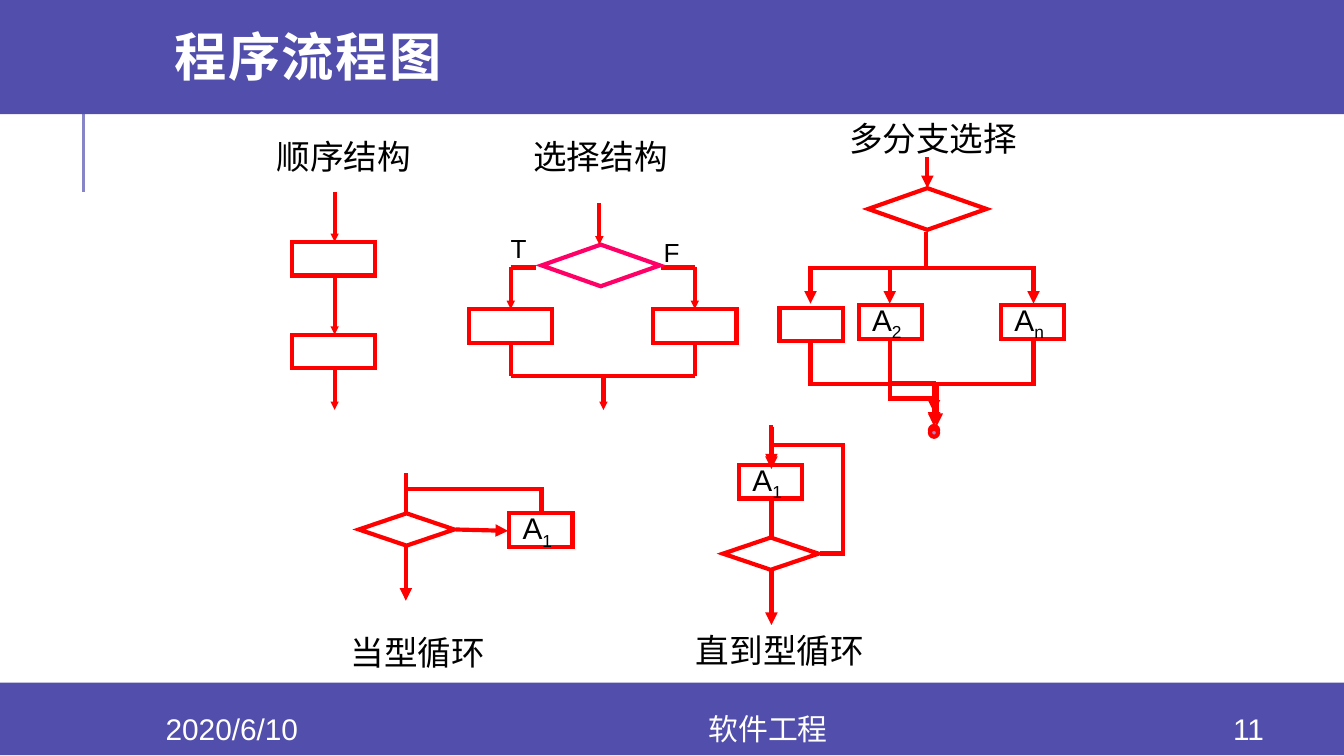
from lxml.etree import SubElement
from pptx import Presentation
from pptx.dml.color import RGBColor
from pptx.enum.shapes import MSO_CONNECTOR, MSO_SHAPE
from pptx.enum.text import MSO_ANCHOR, MSO_AUTO_SIZE, PP_ALIGN
from pptx.oxml.ns import qn
from pptx.util import Emu, Pt

PX = 9144
RED = RGBColor(0xFF, 0x00, 0x00)
PINK = RGBColor(0xFF, 0x00, 0x66)
INDIGO = RGBColor(0x52, 0x4E, 0xAB)
LILAC = RGBColor(0x87, 0x84, 0xC7)
MAUVE = RGBColor(0xAD, 0x84, 0xC6)
BLACK = RGBColor(0x00, 0x00, 0x00)
WHITE = RGBColor(0xFF, 0xFF, 0xFF)
BOX = (47, 25)
WIDE_BOX = (62, 25)
DIAMOND = (88, 31)
SMALL_DIAMOND = (71, 24)
SMALL, MEDIUM = "sm", "med"


def px(*lengths):
    """Turn px lengths into EMU."""
    return [Emu(round(length * PX)) for length in lengths]


def style_font(font, size, color, name="Arial"):
    """Set the size, colour and typeface of a font."""
    font.size, font.name = Pt(size), name
    font.color.rgb = color


def style_line(shape, color, width=2.25):
    """Give a shape or connector a line with sharp corners."""
    shape.line.color.rgb = color
    shape.line.width = Pt(width)
    outline = shape._element.spPr.find(qn("a:ln"))
    SubElement(outline, qn("a:miter"), lim="800000")
    return outline


def add_node(slide, kind, left, top, size, line=RED, fill=None):
    """Add a preset shape with an optional outline and fill."""
    shape = slide.shapes.add_shape(kind, *px(left, top, *size))
    shape.shadow.inherit = False
    if fill is None:
        shape.fill.background()
    else:
        shape.fill.solid()
        shape.fill.fore_color.rgb = fill
    if line is None:
        shape.line.fill.background()
    else:
        style_line(shape, line)
    return shape


def add_step(slide, left, top, subscript):
    """Add a box that holds the letter A with a subscript."""
    frame = add_node(slide, MSO_SHAPE.RECTANGLE, left, top, BOX).text_frame
    frame.word_wrap = False
    frame.vertical_anchor = MSO_ANCHOR.MIDDLE
    paragraph = frame.paragraphs[0]
    paragraph.alignment = PP_ALIGN.LEFT
    style_font(paragraph.font, 16, BLACK)
    paragraph.add_run().text = "A"
    index = paragraph.add_run()
    index.text = subscript
    index.font._element.set("baseline", "-25000")


def add_text(slide, text, box, size, color=BLACK, name="Arial"):
    """Add a one-line text box and return its frame."""
    frame = slide.shapes.add_textbox(*px(*box)).text_frame
    frame.text = text
    style_font(frame.paragraphs[0].font, size, color, name)
    return frame


def add_label(slide, text, box, size=18):
    """Add a caption that fits its text."""
    frame = add_text(slide, text, box, size)
    frame.word_wrap = False
    frame.auto_size = MSO_AUTO_SIZE.SHAPE_TO_FIT_TEXT


def add_footer(slide, text, left, width):
    """Add a centred text in the bottom bar."""
    frame = add_text(slide, text, (left, 531, width, 23), 16, WHITE)
    frame.word_wrap = True
    frame.vertical_anchor = MSO_ANCHOR.MIDDLE
    frame.paragraphs[0].alignment = PP_ALIGN.CENTER


def add_title(slide, text):
    """Add the bold slide title."""
    frame = add_text(slide, text, (120, 0, 849, 91), 28, WHITE, "Montserrat")
    frame.word_wrap = True
    frame.vertical_anchor = MSO_ANCHOR.MIDDLE
    paragraph = frame.paragraphs[0]
    paragraph.line_spacing = 0.8
    paragraph.font.bold = True
    paragraph.runs[0].font._element.set("spc", "80")


def add_line(slide, start, end, arrow=None, color=RED, width=2.25, kind=MSO_CONNECTOR.STRAIGHT):
    """Add a connector with an optional arrowhead at its end."""
    connector = slide.shapes.add_connector(kind, *px(*start, *end))
    outline = style_line(connector, color, width)
    if arrow:
        SubElement(outline, qn("a:tailEnd"), type="triangle", w=arrow, len=arrow)
    SubElement(connector._element.spPr, qn("a:effectLst"))
    return connector


def set_bends(connector, preset, **adjustments):
    """Choose the elbow preset and place its bends."""
    geometry = connector._element.spPr.find(qn("a:prstGeom"))
    geometry.set("prst", preset)
    guides = geometry.find(qn("a:avLst"))
    for name, value in adjustments.items():
        SubElement(guides, qn("a:gd"), name=name, fmla=f"val {round(value * 100000)}")


def add_vertical_elbow(slide, start, end, arrow=MEDIUM, bend=0.5):
    """Add an elbow that leaves and arrives vertically."""
    run, rise = end[0] - start[0], end[1] - start[1]
    middle_x, middle_y = (start[0] + end[0]) / 2, (start[1] + end[1]) / 2
    half_width, half_height = abs(rise) / 2, abs(run) / 2
    connector = add_line(slide, (middle_x - half_width, middle_y - half_height),
                         (middle_x + half_width, middle_y + half_height),
                         arrow, kind=MSO_CONNECTOR.ELBOW)
    transform = connector._element.spPr.find(qn("a:xfrm"))
    transform.set("rot", str((90 if run < 0 else 270) * 60000))
    if (run < 0) == (rise < 0):
        transform.set("flipH", "1")
    set_bends(connector, "bentConnector3", adj1=bend)


def draw_frame(slide):
    """Draw the bars, the title and the footer."""
    add_line(slide, (62, 143), (62, 68), color=LILAC, width=1.5)
    for top, height in ((508, 54), (-3, 88)):
        add_node(slide, MSO_SHAPE.RECTANGLE, 0, top, (1000, height), None, INDIGO)
    add_title(slide, "程序流程图")
    for text, left, width in (("11", 889, 80), ("2020/6/10", 84, 177), ("软件工程", 261, 621)):
        add_footer(slide, text, left, width)


def draw_sequence(slide):
    """Draw two steps in a row."""
    for top in (180, 249):
        add_node(slide, MSO_SHAPE.RECTANGLE, 217, top, WIDE_BOX)
    for top, bottom in ((143, 180), (205, 249), (274, 305)):
        add_line(slide, (249, top), (249, bottom), SMALL)
    add_label(slide, "顺序结构", (196, 96, 121, 40))


def draw_selection(slide):
    """Draw the two-way branch."""
    for x, inner in ((380, 399), (517, 492)):
        add_node(slide, MSO_SHAPE.RECTANGLE, x - 31, 230, WIDE_BOX)
        add_line(slide, (x, 199), (inner, 199))
        add_line(slide, (x, 199), (x, 230), SMALL)
        add_line(slide, (x, 255), (x, 280))
    add_node(slide, MSO_SHAPE.DIAMOND, 403, 182, DIAMOND, PINK)
    add_line(slide, (446, 151), (446, 182), SMALL)
    add_line(slide, (380, 280), (517, 280))
    add_line(slide, (449, 280), (449, 305), SMALL)
    add_label(slide, "T", (370, 168, 32, 34), 14)
    add_label(slide, "F", (484, 171, 31, 34), 14)
    add_label(slide, "选择结构", (387, 96, 121, 40))


def draw_multiple_selection(slide):
    """Draw the branch with many cases."""
    add_label(slide, "多分支选择", (622, 83, 146, 40))
    add_line(slide, (690, 117), (690, 140), MEDIUM)
    add_node(slide, MSO_SHAPE.DIAMOND, 646, 140, DIAMOND)
    add_node(slide, MSO_SHAPE.RECTANGLE, 580, 229, BOX)
    add_step(slide, 639, 227, "2")
    add_step(slide, 745, 227, "n")
    for top in (317, 319):
        add_node(slide, MSO_SHAPE.OVAL, 692, top, (6, 6), fill=MAUVE)
    for x in (662, 603, 769):
        add_vertical_elbow(slide, (689, 173), (x, 226))
    for start, end in (((662, 254), (695, 316)), ((769, 254), (697, 317)),
                       ((603, 255), (695, 317)), ((662, 286), (695, 307))):
        add_vertical_elbow(slide, start, end)


def draw_while_loop(slide):
    """Draw the loop that tests first."""
    add_node(slide, MSO_SHAPE.DIAMOND, 267, 382, SMALL_DIAMOND)
    add_step(slide, 379, 382, "1")
    add_line(slide, (302, 353), (302, 382))
    add_line(slide, (339, 394), (378, 395), MEDIUM)
    add_line(slide, (302, 407), (302, 447), MEDIUM)
    add_vertical_elbow(slide, (403, 381), (302, 352), None, 0.6)
    add_label(slide, "当型循环", (251, 465, 121, 40))


def draw_until_loop(slide):
    """Draw the loop that tests last."""
    add_node(slide, MSO_SHAPE.DIAMOND, 538, 400, SMALL_DIAMOND)
    add_step(slide, 550, 346, "1")
    for top, bottom, arrow in ((371, 400, None), (425, 465, MEDIUM),
                               (318, 347, MEDIUM), (318, 349, MEDIUM)):
        add_line(slide, (574, top), (574, bottom), arrow)
    back = add_line(slide, (610, 412), (574, 316), kind=MSO_CONNECTOR.ELBOW)
    set_bends(back, "bentConnector4", adj1=-0.48, adj2=0.84)
    add_label(slide, "直到型循环", (508, 464, 146, 40))


def main():
    """Build and save the slide."""
    presentation = Presentation()
    presentation.slide_width = Emu(1000 * PX)
    presentation.slide_height = Emu(1000 * PX * 9 // 16)
    slide = presentation.slides.add_slide(presentation.slide_layouts[6])
    for draw in (draw_frame, draw_sequence, draw_selection,
                 draw_multiple_selection, draw_while_loop, draw_until_loop):
        draw(slide)
    presentation.save("out.pptx")


if __name__ == "__main__":
    main()
